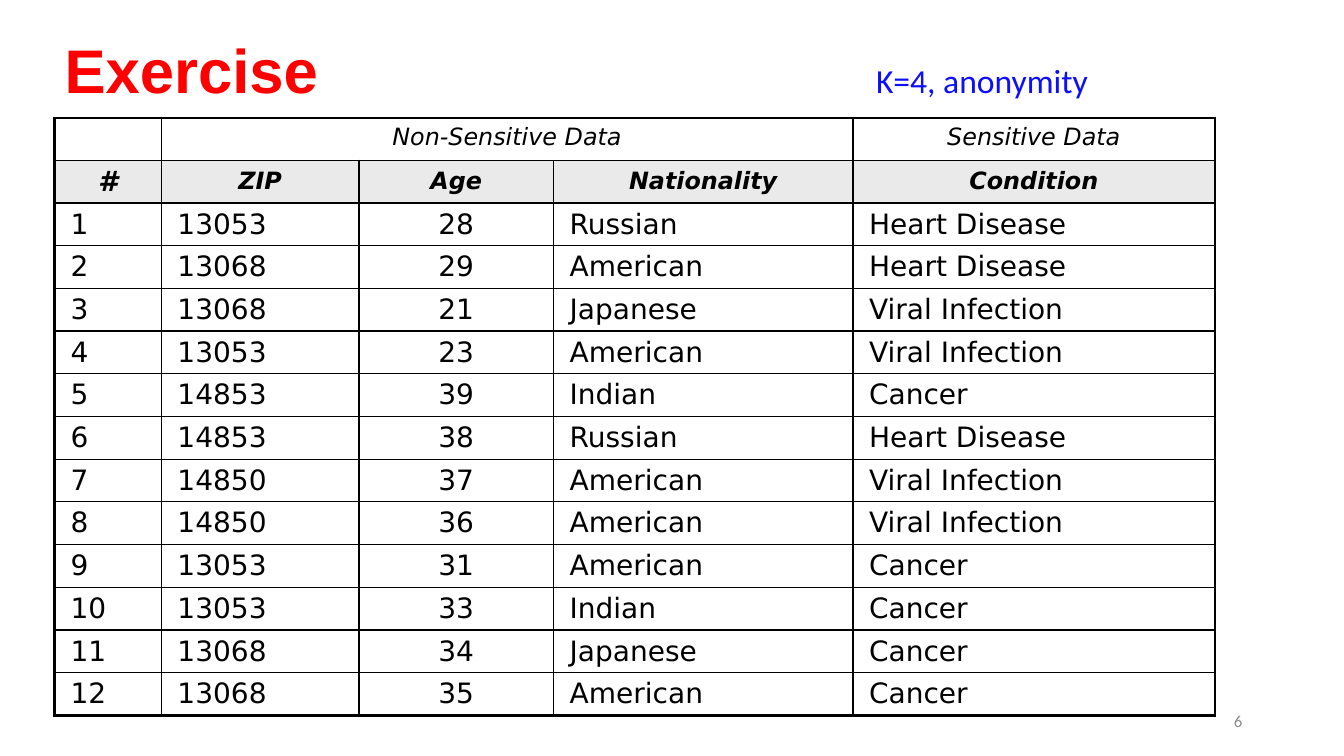
from lxml.etree import SubElement
from pptx import Presentation
from pptx.dml.color import RGBColor
from pptx.enum.text import MSO_ANCHOR, MSO_AUTO_SIZE, PP_ALIGN
from pptx.oxml.ns import qn
from pptx.util import Inches, Pt

BLACK = RGBColor(0x00, 0x00, 0x00)
RED = RGBColor(0xFF, 0x00, 0x00)
BLUE = RGBColor(0x0D, 0x0E, 0xFF)
GRAY = RGBColor(0x8C, 0x8C, 0x8C)
HEADER_FILL = RGBColor(0xEA, 0xEA, 0xEA)

THIN, THICK = Pt(1), Pt(2.25)
COLUMN_WIDTHS = [1.06, 1.96, 1.93, 2.97, 3.59]
ROW_HEIGHT = 0.42
AGE_COLUMN = 2
GROUPS = ["", "Non-Sensitive Data", "", "", "Sensitive Data"]
HEADERS = ["#", "ZIP", "Age", "Nationality", "Condition"]
PATIENTS = [
    ("13053", "28", "Russian", "Heart Disease"),
    ("13068", "29", "American", "Heart Disease"),
    ("13068", "21", "Japanese", "Viral Infection"),
    ("13053", "23", "American", "Viral Infection"),
    ("14853", "39", "Indian", "Cancer"),
    ("14853", "38", "Russian", "Heart Disease"),
    ("14850", "37", "American", "Viral Infection"),
    ("14850", "36", "American", "Viral Infection"),
    ("13053", "31", "American", "Cancer"),
    ("13053", "33", "Indian", "Cancer"),
    ("13068", "34", "Japanese", "Cancer"),
    ("13068", "35", "American", "Cancer"),
]


def style_text(para, font_name, size, color, bold=False, italic=False):
    for span in para.runs:
        font = span.font
        font.name, font.size = font_name, Pt(size)
        font.bold, font.italic = bold, italic
        font.color.rgb = color


def set_title(slide, text):
    title = slide.shapes.title
    title.left, title.top = Inches(0.54), Inches(0)
    title.width, title.height = Inches(11.5), Inches(1.45)
    title.text_frame.text = text
    title.text_frame.vertical_anchor = MSO_ANCHOR.MIDDLE
    para = title.text_frame.paragraphs[0]
    para.alignment = PP_ALIGN.LEFT
    para.line_spacing = 0.9
    style_text(para, "Arial", 44, RED, bold=True)


def add_label(slide, text, left, top, width, height, size, color):
    box = slide.shapes.add_textbox(
        Inches(left), Inches(top), Inches(width), Inches(height))
    box.text_frame.text = text
    style_text(box.text_frame.paragraphs[0], "Calibri", size, color)
    return box.text_frame


def set_borders(cell, row, column, last_row, last_column):
    """Draw thin grid lines, thick where the cell touches the table's edge."""
    on_edge = {"L": column == 0, "R": column == last_column,
               "T": row == 0, "B": row == last_row}
    properties = cell._tc.get_or_add_tcPr()
    for side, outer in on_edge.items():
        line = SubElement(properties, qn(f"a:ln{side}"),
                          w=str(THICK if outer else THIN))
        fill = SubElement(line, qn("a:solidFill"))
        SubElement(fill, qn("a:srgbClr"), val=str(BLACK))


def format_cell(cell, text, row, column):
    cell.margin_left = cell.margin_right = Inches(0.16)
    cell.margin_top = cell.margin_bottom = Inches(0.05)
    is_header = row == 1
    if is_header:
        cell.fill.solid()
        cell.fill.fore_color.rgb = HEADER_FILL
        cell.vertical_anchor = MSO_ANCHOR.MIDDLE
    else:
        cell.fill.background()
    cell.text_frame.text = text
    para = cell.text_frame.paragraphs[0]
    if row < 2 or column == AGE_COLUMN:
        para.alignment = PP_ALIGN.CENTER
    size = 17 if row < 2 and text != "#" else 20
    style_text(para, "DejaVu Sans", size, BLACK, bold=is_header, italic=row < 2)


def add_patient_table(slide):
    records = [(str(number), *patient)
               for number, patient in enumerate(PATIENTS, start=1)]
    rows = [GROUPS, HEADERS, *records]
    table = slide.shapes.add_table(
        len(rows), len(COLUMN_WIDTHS), Inches(0.54), Inches(1.17),
        Inches(sum(COLUMN_WIDTHS)), Inches(ROW_HEIGHT * len(rows))).table
    table.first_row = table.horz_banding = False
    for column, width in zip(table.columns, COLUMN_WIDTHS):
        column.width = Inches(width)
    for row, values in enumerate(rows):
        table.rows[row].height = Inches(ROW_HEIGHT)
        for column, text in enumerate(values):
            cell = table.cell(row, column)
            set_borders(cell, row, column, len(rows) - 1, len(values) - 1)
            format_cell(cell, text, row, column)
    table.cell(0, 1).merge(table.cell(0, 3))


def main():
    deck = Presentation()
    deck.slide_width, deck.slide_height = Inches(13.33), Inches(7.5)
    page = deck.slides.add_slide(deck.slide_layouts[5])
    set_title(page, "Exercise")
    add_patient_table(page)
    number = add_label(page, "6", 9.42, 6.95, 3, 0.4, 12, GRAY)
    number.word_wrap = True
    number.vertical_anchor = MSO_ANCHOR.MIDDLE
    number.paragraphs[0].alignment = PP_ALIGN.RIGHT
    note = add_label(page, "K=4, anonymity", 8.59, 0.55, 2.32, 0.5, 24, BLUE)
    note.word_wrap = False
    note.auto_size = MSO_AUTO_SIZE.SHAPE_TO_FIT_TEXT
    deck.save("out.pptx")


if __name__ == "__main__":
    main()
